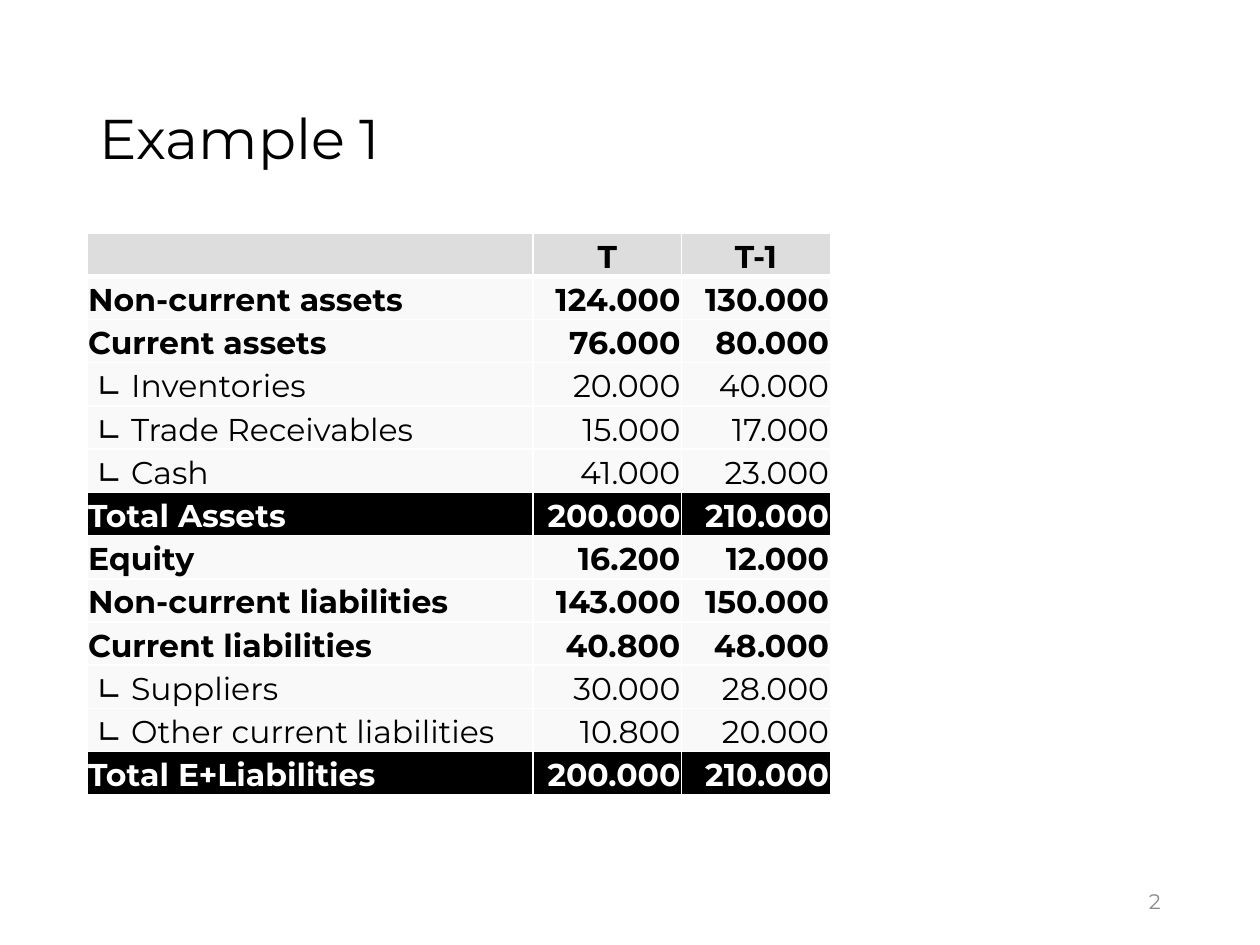
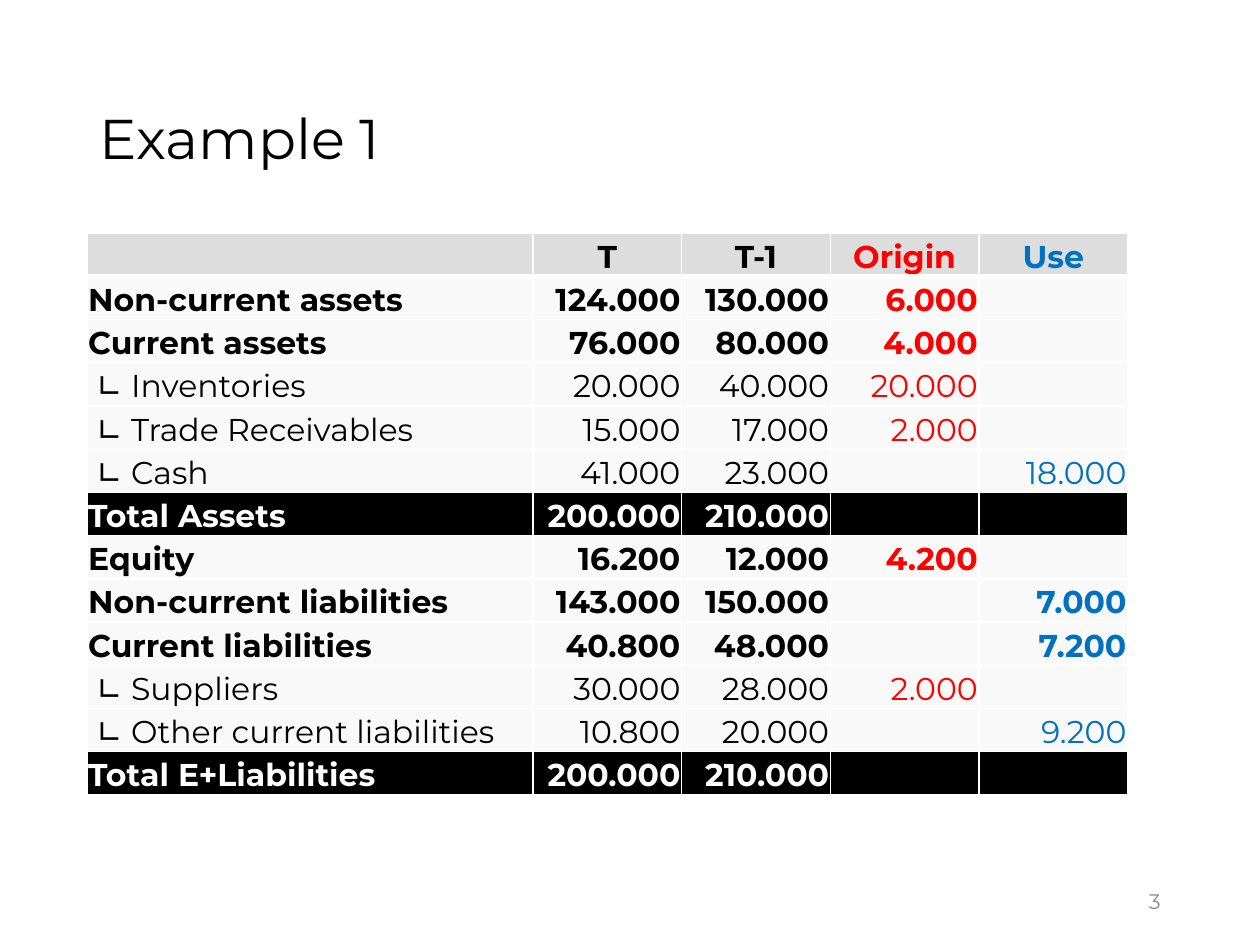
from lxml.etree import SubElement
from pptx import Presentation
from pptx.dml.color import RGBColor
from pptx.enum.text import MSO_ANCHOR as Anchor, MSO_AUTO_SIZE as AutoSize, PP_ALIGN as Align
from pptx.oxml.ns import qn
from pptx.util import Inches, Pt

FONT = "Montserrat"
BLACK = RGBColor(0x00, 0x00, 0x00)
WHITE = RGBColor(0xFF, 0xFF, 0xFF)
GREY = RGBColor(0x8C, 0x8C, 0x8C)
HEADER_FILL = RGBColor(0xDD, 0xDD, 0xDD)
BODY_FILL = RGBColor(0xF9, 0xF9, 0xF9)
RED = RGBColor(0xFF, 0x00, 0x00)
BLUE = RGBColor(0x00, 0x70, 0xC0)

LEFT = Inches(0.69)
TITLE_TOP = Inches(0.4)
TITLE_HEIGHT = Inches(1.45)
TABLE_TOP = Inches(1.85)
TABLE_HEIGHT = Inches(4.46)
LABEL_WIDTH = Inches(3.54)
VALUE_WIDTH = Inches(1.18)
COLUMN_COLORS = [BLACK, BLACK, BLACK, RED, BLUE]

BALANCE_SHEET = [
    ["", "T", "T-1", "Origin", "Use"],
    ["Non-current assets", "124.000", "130.000", "6.000", ""],
    ["Current assets", "76.000", "80.000", "4.000", ""],
    [" ∟ Inventories", "20.000", "40.000", "20.000", ""],
    [" ∟ Trade Receivables", "15.000", "17.000", "2.000", ""],
    [" ∟ Cash", "41.000", "23.000", "", "18.000"],
    ["Total Assets", "200.000", "210.000", "", ""],
    ["Equity", "16.200", "12.000", "4.200", ""],
    ["Non-current liabilities", "143.000", "150.000", "", "7.000"],
    ["Current liabilities", "40.800", "48.000", "", "7.200"],
    [" ∟ Suppliers", "30.000", "28.000", "2.000", ""],
    [" ∟ Other current liabilities", "10.800", "20.000", "", "9.200"],
    ["Total E+Liabilities", "200.000", "210.000", "", ""],
]


class SlideBuilder:
    """Holds the shared style and draws on the current slide."""

    def __init__(self):
        self.deck = Presentation()
        self.deck.slide_width = Inches(10)
        self.deck.slide_height = Inches(7.5)
        self.page = None

    def add_page(self, title, number):
        """Start a slide with its title and page number."""
        self.page = self.deck.slides.add_slide(self.deck.slide_layouts[5])
        self.add_title(title)
        self.add_page_number(number)

    def add_span(self, para, text, size, color, align, bold=False):
        """Add one formatted run to a paragraph."""
        para.alignment = align
        span = para.add_run()
        span.text = text
        span.font.name = FONT
        span.font.size = Pt(size)
        span.font.bold = bold
        span.font.color.rgb = color

    def add_title(self, text):
        """Place and format the title placeholder."""
        box = self.page.shapes.title
        box.left, box.top = LEFT, TITLE_TOP
        box.width, box.height = Inches(8.62), TITLE_HEIGHT
        frame = box.text_frame
        frame.auto_size = AutoSize.NONE
        frame.vertical_anchor = Anchor.MIDDLE
        para = frame.paragraphs[0]
        para.line_spacing = 0.9
        self.add_span(para, text, 32, BLACK, Align.LEFT)

    def add_page_number(self, number):
        """Put the page number at the bottom right."""
        box = self.page.shapes.add_textbox(Inches(7.06), Inches(6.95), Inches(2.25), Inches(0.4))
        frame = box.text_frame
        frame.word_wrap = True
        frame.vertical_anchor = Anchor.MIDDLE
        self.add_span(frame.paragraphs[0], str(number), 12, GREY, Align.RIGHT)

    def add_borders(self, cell, top, bottom):
        """Draw white borders with the given top and bottom widths."""
        properties = cell._tc.get_or_add_tcPr()
        for side, width in (("L", 1), ("R", 1), ("T", top), ("B", bottom)):
            line = SubElement(properties, qn(f"a:ln{side}"), w=str(Pt(width)))
            fill = SubElement(line, qn("a:solidFill"))
            SubElement(fill, qn("a:srgbClr"), val=str(WHITE))

    def add_cell(self, cell, text, row, column, label):
        """Fill and format one cell by its row and column."""
        header, total = row == 0, label.startswith("Total")
        cell.margin_left = cell.margin_right = cell.margin_top = Inches(0.01)
        cell.margin_bottom = 0
        cell.vertical_anchor = Anchor.BOTTOM
        self.add_borders(cell, 3 if row == 1 else 1, 3 if header else 1)
        cell.fill.solid()
        cell.fill.fore_color.rgb = HEADER_FILL if header else BLACK if total else BODY_FILL
        if text:
            align = Align.CENTER if header else Align.RIGHT if column else Align.LEFT
            color = WHITE if total else COLUMN_COLORS[column]
            self.add_span(cell.text_frame.paragraphs[0], text, 18, color, align, "∟" not in label)

    def add_balance_table(self, rows, column_count):
        """Draw the leading columns of the balance sheet."""
        widths = [LABEL_WIDTH] + [VALUE_WIDTH] * (column_count - 1)
        table = self.page.shapes.add_table(
            len(rows), column_count, LEFT, TABLE_TOP, sum(widths), TABLE_HEIGHT).table
        table.first_row = table.horz_banding = False
        for column, width in zip(table.columns, widths):
            column.width = width
        for row, texts in enumerate(rows):
            table.rows[row].height = TABLE_HEIGHT // len(rows)
            for column, text in enumerate(texts[:column_count]):
                self.add_cell(table.cell(row, column), text, row, column, texts[0])


def main():
    """Build both slides and save the deck."""
    builder = SlideBuilder()
    for number, column_count in ((2, 3), (3, 5)):
        builder.add_page("Example 1", number)
        builder.add_balance_table(BALANCE_SHEET, column_count)
    builder.deck.save("out.pptx")


if __name__ == "__main__":
    main()
